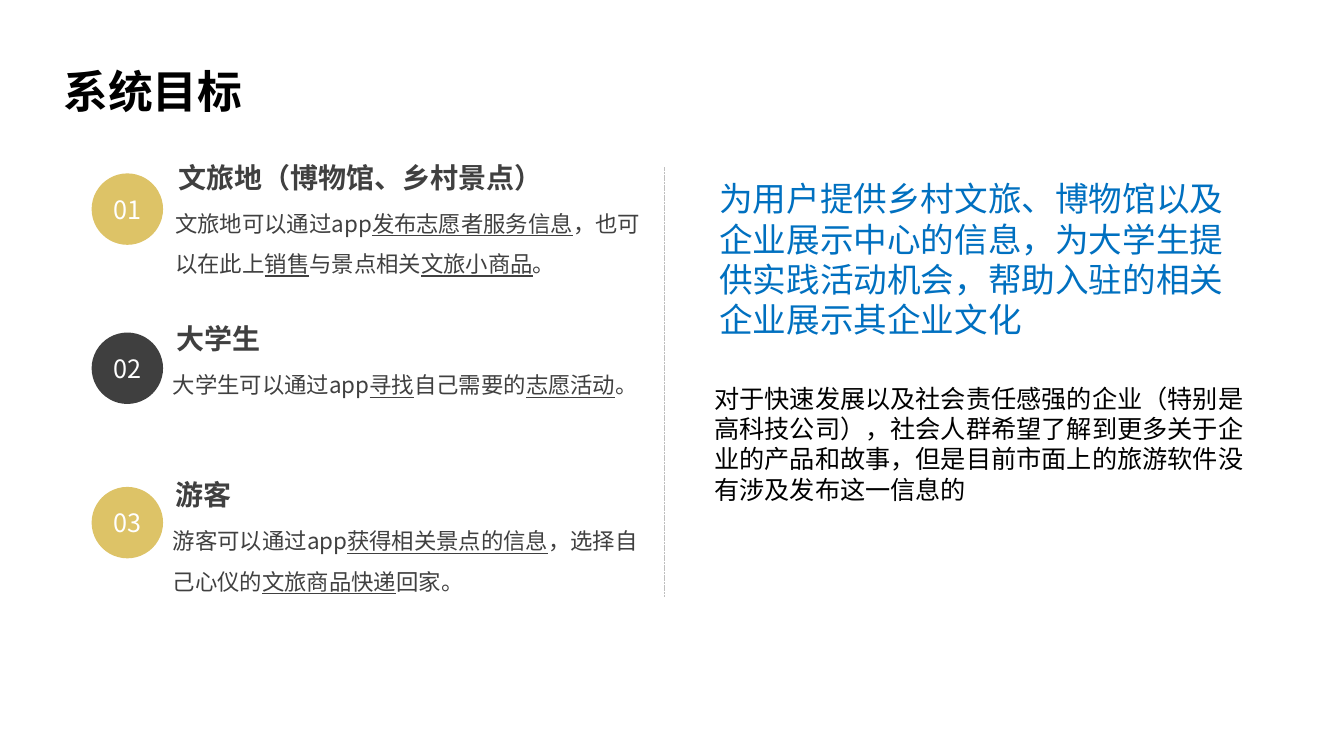
from lxml import etree
from pptx import Presentation
from pptx.dml.color import RGBColor
from pptx.enum.dml import MSO_LINE
from pptx.enum.shapes import MSO_CONNECTOR, MSO_SHAPE
from pptx.enum.text import MSO_ANCHOR, PP_ALIGN
from pptx.oxml.ns import qn
from pptx.util import Cm, Pt

OVAL, RECT = MSO_SHAPE.OVAL, MSO_SHAPE.RECTANGLE
STRAIGHT, DASH = MSO_CONNECTOR.STRAIGHT, MSO_LINE.SQUARE_DOT
TOP, MIDDLE = MSO_ANCHOR.TOP, MSO_ANCHOR.MIDDLE
LEFT, CENTER = PP_ALIGN.LEFT, PP_ALIGN.CENTER

FONT = "Noto Sans CJK SC"
GOLD, DARK, GREY, PALE = "DDC367", "3F3F3F", "404040", "BFBFBF"
BLUE, BLACK, WHITE = "0070C0", "000000", "FFFFFF"

TITLE = " 系统目标"
SUMMARY = ("为用户提供乡村文旅、博物馆以及企业展示中心的信息，为大学生提供实践活动机会，"
           "帮助入驻的相关企业展示其企业文化")
REASON = ("对于快速发展以及社会责任感强的企业（特别是高科技公司），社会人群希望了解到更多"
          "关于企业的产品和故事，但是目前市面上的旅游软件没有涉及发布这一信息的")

# Body pieces alternate between plain and underlined.
GOALS = [
    {"name": "文旅地（博物馆、乡村景点）", "color": GOLD,
     "badge_top": 4.37, "name_at": (4.24, 3.91), "body_left": 4.17, "body_height": 2.31,
     "body": ["文旅地可以通过app", "发布志愿者服务信息", "，也可以在此上", "销售",
              "与景点相关", "文旅小商品", "。"]},
    {"name": "大学生", "color": DARK,
     "badge_top": 8.38, "name_at": (4.19, 7.98), "body_left": 4.11, "body_height": 1.27,
     "body": ["大学生可以通过app", "寻找", "自己需要的", "志愿活动", "。"]},
    {"name": "游客", "color": GOLD,
     "badge_top": 12.27, "name_at": (4.17, 11.91), "body_left": 4.11, "body_height": 2.31,
     "body": ["游客可以通过app", "获得相关景点的信息", "，选择自己心仪的",
              "文旅商品快递", "回家。"]},
]
BADGE_LEFT, BADGE_SIZE = 2.31, 1.8
NAME_SIZE, BODY_WIDTH, BODY_DROP = (9.86, 1.12), 12.34, 0.92


def rgb(value):
    """Turn a hex string into a colour."""
    return RGBColor.from_string(value)


def write(s, pieces, size, color, bold=False, align=LEFT, anchor=TOP, spacing=None):
    """Fill a shape with one paragraph, underlining every second piece."""
    tf = s.text_frame
    tf.word_wrap, tf.vertical_anchor = True, anchor
    p = tf.paragraphs[0]
    p.alignment = align
    if spacing:
        p.line_spacing = spacing
    for i, piece in enumerate(pieces):
        r = p.add_run()
        r.text = piece
        r.font.size, r.font.name, r.font.bold = Pt(size), FONT, bold
        r.font.color.rgb = rgb(color)
        if i % 2:
            r.font.underline = True
        etree.SubElement(r.font._element, qn("a:ea"), typeface=FONT)
    return tf


def add_filled(kind, box, color):
    """Add a flat shape without outline; box is in centimetres."""
    s = slide.shapes.add_shape(kind, *map(Cm, box))
    s.shadow.inherit = False
    s.fill.solid()
    s.fill.fore_color.rgb = rgb(color)
    s.line.fill.background()
    return s


def add_text(box, pieces, size, color, **style):
    """Add a text box; box is in centimetres."""
    write(slide.shapes.add_textbox(*map(Cm, box)), pieces, size, color, **style)


def add_divider(x, top, bottom):
    """Add the dashed vertical line between the two columns."""
    s = slide.shapes.add_connector(STRAIGHT, Cm(x), Cm(top), Cm(x), Cm(bottom))
    s.line.color.rgb = rgb(PALE)
    s.line.width, s.line.dash_style = Pt(0.25), DASH
    etree.SubElement(s._element.spPr, qn("a:effectLst"))


def add_goal(number, goal):
    """Add one numbered goal: badge, name and description."""
    badge = add_filled(OVAL, (BADGE_LEFT, goal["badge_top"], BADGE_SIZE, BADGE_SIZE),
                       goal["color"])
    tf = write(badge, [f"{number:02}"], 18, WHITE, align=CENTER, anchor=MIDDLE)
    tf.margin_left = tf.margin_right = 0
    left, top = goal["name_at"]
    add_text((goal["body_left"], top + BODY_DROP, BODY_WIDTH, goal["body_height"]),
             goal["body"], 16, GREY, spacing=1.5)
    add_text((left, top, *NAME_SIZE), [goal["name"]], 20, GREY, bold=True)


prs = Presentation()
prs.slide_width, prs.slide_height = Cm(33.87), Cm(19.05)
slide = prs.slides.add_slide(prs.slide_layouts[6])

write(add_filled(RECT, (17.88, 4.37, 14.02, 4.37), WHITE), [SUMMARY], 24, BLUE)
write(add_filled(RECT, (1.09, 0.97, 9.98, 2.64), WHITE), [TITLE], 32, BLACK,
      bold=True, anchor=MIDDLE)
add_text((17.75, 9.53, 14.3, 3.33), [REASON], 18, BLACK)
add_divider(16.74, 4.22, 15.04)
for number, goal in enumerate(GOALS, 1):
    add_goal(number, goal)

prs.save("out.pptx")
